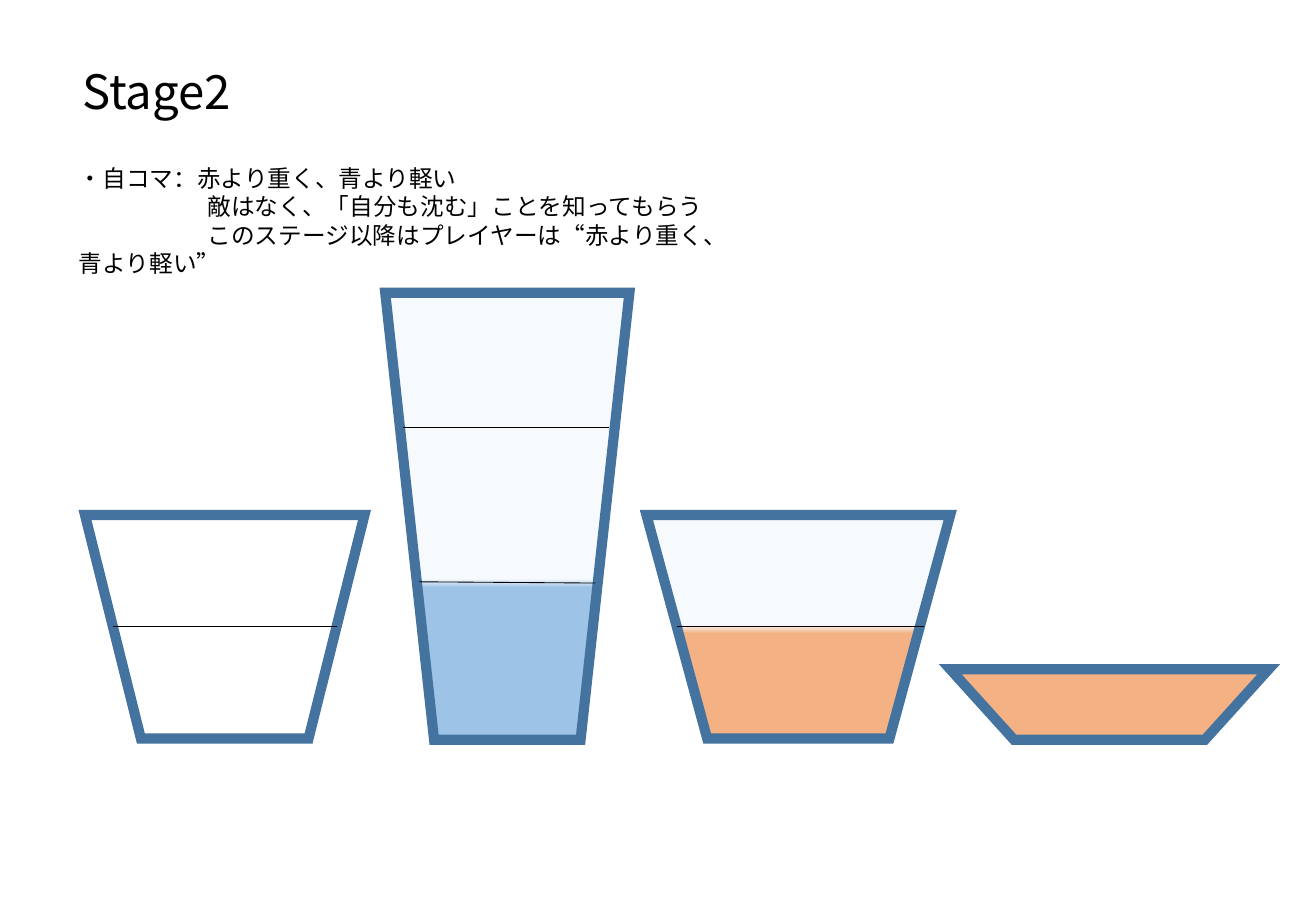
from lxml import etree
from pptx import Presentation
from pptx.dml.color import RGBColor
from pptx.enum import shapes, text
from pptx.oxml.ns import qn
from pptx.util import Inches, Pt

COLORS = {
    "outline": "43739E",
    "empty": "F7FAFD",
    "blue": "9DC3E6",
    "orange": "F4B183",
    "black": "000000",
}


def color(name):
    return RGBColor.from_string(COLORS[name])


def write(paragraph, content, font="Calibri", size=14, spacing=None, indent=0):
    """Write one paragraph; indent moves its first line only."""
    if indent:
        properties = paragraph._p.get_or_add_pPr()
        properties.set("marL", "0")
        properties.set("indent", str(Inches(indent)))
    if spacing:
        paragraph.line_spacing = spacing
    run = paragraph.add_run()
    run.text = content
    run.font.name = font
    run.font.size = Pt(size)
    run.font.color.rgb = color("black")


class StageSlide:
    def __init__(self, presentation):
        self.slide = presentation.slides.add_slide(presentation.slide_layouts[6])

    def text_box(self, left, top, width, height):
        box = self.slide.shapes.add_textbox(
            Inches(left), Inches(top), Inches(width), Inches(height))
        frame = box.text_frame
        frame.word_wrap = True
        frame.auto_size = text.MSO_AUTO_SIZE.SHAPE_TO_FIT_TEXT
        return frame

    def cup(self, left, top, width, height, liquid=None, stops=(0, 0)):
        shape = self.slide.shapes.add_shape(
            shapes.MSO_SHAPE.FLOWCHART_MANUAL_OPERATION,
            Inches(left), Inches(top), Inches(width), Inches(height))
        shape.shadow.inherit = False
        if liquid:
            shape.fill.gradient()
            shape.fill.gradient_angle = 270  # top to bottom
            for stop, position, name in zip(
                    shape.fill.gradient_stops, stops, ("empty", liquid)):
                stop.position = position
                stop.color.rgb = color(name)
        else:
            shape.fill.background()
        shape.line.color.rgb = color("outline")
        shape.line.width = Pt(6)
        # Sharp corners
        line = shape.line._get_or_add_ln()
        etree.SubElement(line, qn("a:miter")).set("lim", "800000")

    def level(self, x1, y1, x2, y2):
        connector = self.slide.shapes.add_connector(
            shapes.MSO_CONNECTOR.STRAIGHT,
            Inches(x1), Inches(y1), Inches(x2), Inches(y2))
        connector.line.color.rgb = color("black")
        connector.line.width = Pt(0.5)
        etree.SubElement(connector._element.spPr, qn("a:effectLst"))


def main():
    presentation = Presentation()
    presentation.slide_width = Inches(10.83)
    presentation.slide_height = Inches(7.5)
    stage = StageSlide(presentation)

    # Cups
    stage.cup(0.7, 4.24, 2.3, 1.84)
    stage.cup(3.17, 2.41, 2.01, 3.68, "blue", (0.64, 0.66))
    stage.cup(7.82, 5.51, 2.62, 0.58, "orange")
    stage.cup(5.32, 4.24, 2.5, 1.84, "orange", (0.49, 0.53))

    # Level marks
    for ends in ((0.93, 5.16, 2.77, 5.16), (3.45, 4.79, 4.9, 4.8),
                 (3.32, 3.52, 5.01, 3.52), (5.57, 5.16, 7.6, 5.16)):
        stage.level(*ends)

    # Title
    title = stage.text_box(0.58, 0.52, 2.42, 0.57)
    write(title.paragraphs[0], "Stage2", font="Noto Sans CJK JP", size=28, spacing=0.9)

    # Rules
    rules = stage.text_box(0.55, 1.3, 5.68, 0.81)
    write(rules.paragraphs[0], "・自コマ：赤より重く、青より軽い")
    for rule in ("敵はなく、「自分も沈む」ことを知ってもらう",
                 "このステージ以降はプレイヤーは“赤より重く、青より軽い”"):
        write(rules.add_paragraph(), rule, indent=1.06)

    presentation.save("out.pptx")


if __name__ == "__main__":
    main()
